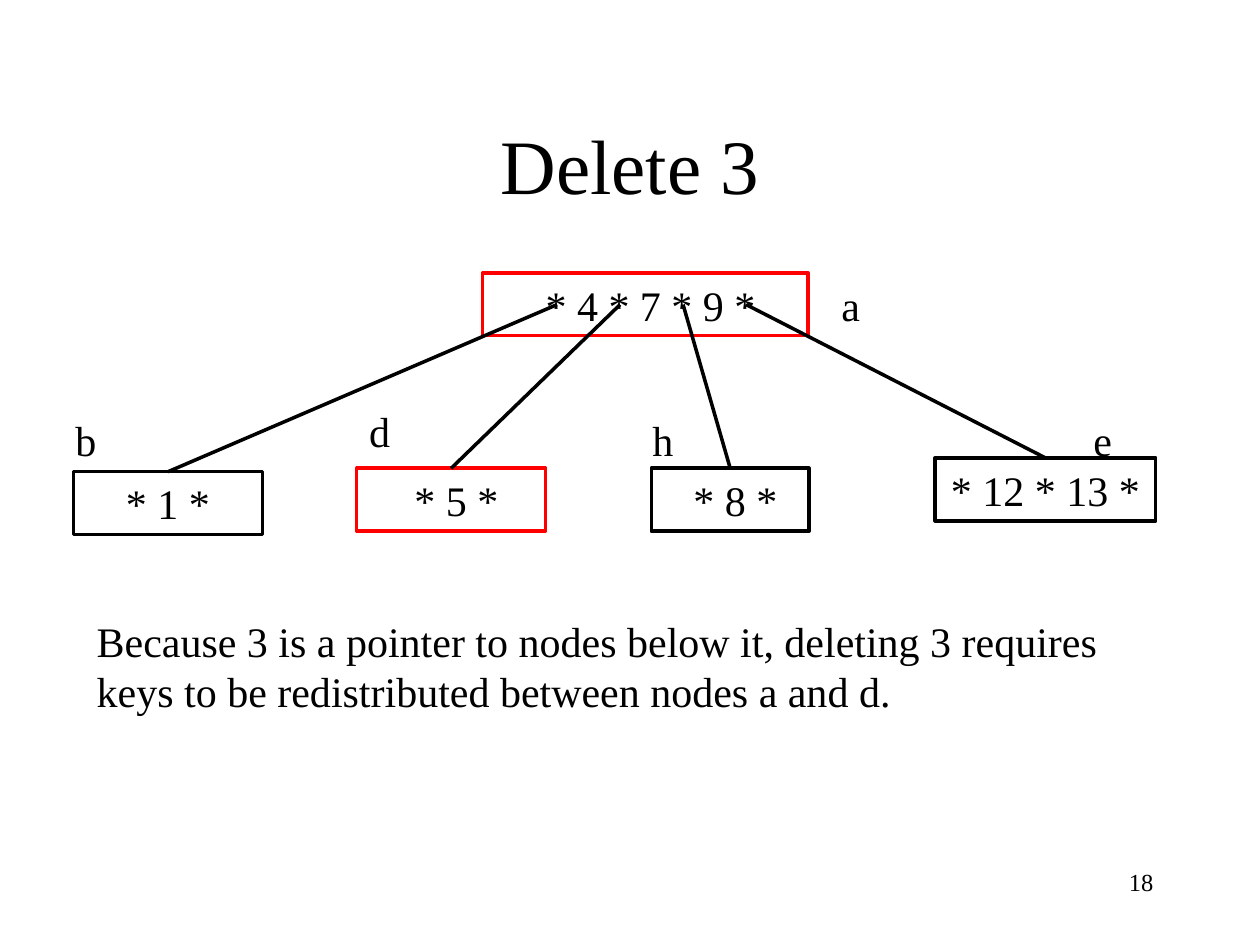
from dataclasses import dataclass

from lxml import etree
from pptx import Presentation
from pptx import util as u
from pptx.dml import color
from pptx.enum import shapes, text
from pptx.oxml import ns


@dataclass(frozen=True)
class Theme:
    font: str = "Times New Roman"
    ink: color.RGBColor = color.RGBColor(0, 0, 0)
    affected: color.RGBColor = color.RGBColor(255, 0, 0)
    title_size: int = 44
    body_size: int = 24
    number_size: int = 14
    line_width: int = 2


THEME = Theme()
NODE_HEIGHT = 1.27
LABEL_SIZE = 1.27

# Each node: name, keys, affected, (left, top, width), (label left, label top)
ROOT = ("a", " * 4 * 7 * 9 *", True, (8.46, 0, 6.56), (15.44, 0))
LEAVES = [
    ("b", "* 1 *", False, (0.21, 4.01, 3.81), (0, 2.74)),
    ("d", " * 5 *", True, (5.92, 3.94, 3.81), (5.92, 2.54)),
    ("h", " * 8 *", False, (11.86, 3.94, 3.18), (11.63, 2.74)),
    ("e", "* 12 * 13 *", False, (17.58, 3.73, 4.45), (20.52, 2.74)),
]
FIRST_POINTER = (9.96, 0.64)
POINTER_GAP = 1.27


def write(shape, words, size=THEME.body_size, align=text.PP_ALIGN.LEFT,
          anchor=text.MSO_ANCHOR.TOP):
    frame = shape.text_frame
    frame.word_wrap = True
    frame.vertical_anchor = anchor
    frame.text = words
    paragraph = frame.paragraphs[0]
    paragraph.alignment = align
    paragraph.font.name = THEME.font
    paragraph.font.size = u.Pt(size)
    paragraph.font.color.rgb = THEME.ink


def add_text(slide, words, left, top, width, height, **style):
    box = slide.shapes.add_textbox(u.Cm(left), u.Cm(top), u.Cm(width), u.Cm(height))
    write(box, words, **style)


def set_line(shape, rgb):
    shape.line.color.rgb = rgb
    shape.line.width = u.Pt(THEME.line_width)


def add_node(slide, node, left, top):
    name, keys, affected, (x, y, width), (label_x, label_y) = node
    rect = slide.shapes.add_shape(
        shapes.MSO_SHAPE.RECTANGLE,
        u.Cm(left + x), u.Cm(top + y), u.Cm(width), u.Cm(NODE_HEIGHT))
    rect.shadow.inherit = False
    rect.fill.background()
    set_line(rect, THEME.affected if affected else THEME.ink)
    write(rect, keys, align=text.PP_ALIGN.CENTER)
    add_text(slide, name, left + label_x, top + label_y, LABEL_SIZE, LABEL_SIZE)
    return rect


def add_pointer(slide, x, y, child):
    """Draw a line from a key's pointer to the top of its child node."""
    pointer = slide.shapes.add_connector(
        shapes.MSO_CONNECTOR.STRAIGHT, u.Cm(x), u.Cm(y), child.left, child.top)
    pointer.end_connect(child, 0)
    set_line(pointer, THEME.ink)
    etree.SubElement(pointer._element.spPr, ns.qn("a:effectLst"))


def add_tree(slide, left, top):
    add_node(slide, ROOT, left, top)
    children = [add_node(slide, leaf, left, top) for leaf in LEAVES]
    x, y = FIRST_POINTER
    for i, child in enumerate(children):
        add_pointer(slide, left + x + i * POINTER_GAP, top + y, child)


def add_title(slide, words, left, top, width, height):
    title = slide.shapes.title
    title.left, title.top = u.Cm(left), u.Cm(top)
    title.width, title.height = u.Cm(width), u.Cm(height)
    write(title, words, size=THEME.title_size, align=text.PP_ALIGN.CENTER,
          anchor=text.MSO_ANCHOR.MIDDLE)


def main():
    deck = Presentation()
    deck.slide_width, deck.slide_height = u.Cm(25.4), u.Cm(19.05)
    slide = deck.slides.add_slide(deck.slide_layouts.get_by_name("Title Only"))

    add_title(slide, "Delete 3", 1.9, 1.7, 21.6, 3.18)
    add_tree(slide, 1.27, 5.5)
    add_text(slide, "Because 3 is a pointer to nodes below it, deleting 3 requires "
             "keys to be redistributed between nodes a and d.",
             1.7, 12.28, 21.38, 2.29)
    add_text(slide, "18", 18.2, 17.35, 5.3, 1.27,
             size=THEME.number_size, align=text.PP_ALIGN.RIGHT)
    deck.save("out.pptx")


if __name__ == "__main__":
    main()
